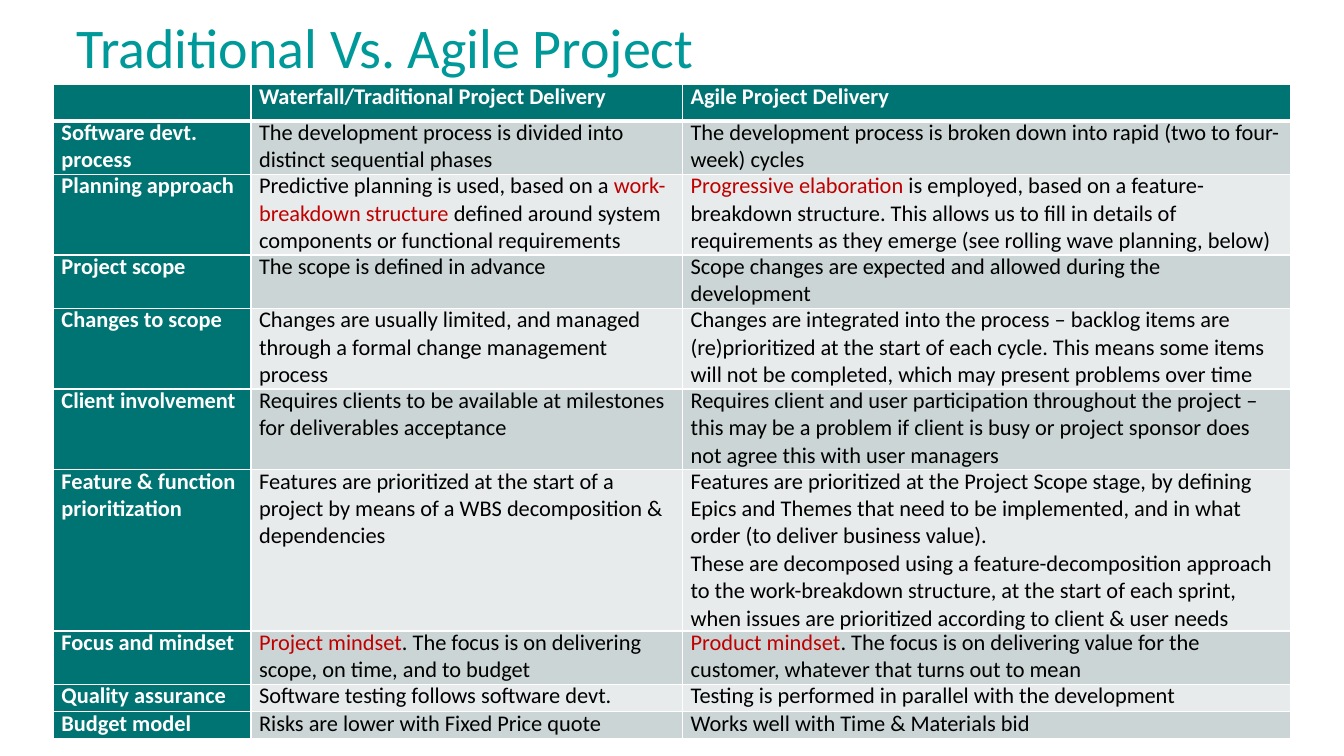
from dataclasses import dataclass

from lxml.etree import SubElement
from pptx import Presentation
from pptx.dml.color import RGBColor
from pptx.oxml.ns import qn
from pptx.util import Inches, Pt


@dataclass(frozen=True)
class Theme:
    font: str = "Calibri"
    title_size: float = 40
    cell_size: float = 16
    first_line: float = 18.2
    title: str = "009999"
    header: str = "007373"
    bands: tuple = ("CBD5D5", "E7EBEB")
    white: str = "FFFFFF"
    ink: str = "000000"
    accent: str = "C00000"


# Asterisks enclose the accented words; each line is a paragraph
HEADINGS = ("", "Waterfall/Traditional Project Delivery", "Agile Project Delivery")
COMPARISON = [
    ("Software devt.\nprocess",
     "The development process is divided into\ndistinct sequential phases",
     "The development process is broken down into rapid (two to four-\nweek) cycles"),
    ("Planning approach",
     "Predictive planning is used, based on a *work-*\n"
     "*breakdown structure* defined around system components or functional requirements",
     "*Progressive elaboration* is employed, based on a feature-\n"
     "breakdown structure. This allows us to fill in details of "
     "requirements as they emerge (see rolling wave planning, below)"),
    ("Project scope",
     "The scope is defined in advance",
     "Scope changes are expected and allowed during the\ndevelopment"),
    ("Changes to scope",
     "Changes are usually limited, and managed\n"
     "through a formal change management\nprocess",
     "Changes are integrated into the process – backlog items are\n"
     "(re)prioritized at the start of each cycle. This means some items "
     "will not be completed, which may present problems over time"),
    ("Client involvement",
     "Requires clients to be available at milestones\nfor deliverables acceptance",
     "Requires client and user participation throughout the project –\n"
     "this may be a problem if client is busy or project sponsor does "
     "not agree this with user managers"),
    ("Feature & function\nprioritization",
     "Features are prioritized at the start of a\n"
     "project by means of a WBS decomposition & dependencies",
     "Features are prioritized at the Project Scope stage, by defining\n"
     "Epics and Themes that need to be implemented, and in what "
     "order (to deliver business value).\n"
     "These are decomposed using a feature-decomposition approach "
     "to the work-breakdown structure, at the start of each sprint, "
     "when issues are prioritized according to client & user needs"),
    ("Focus and mindset",
     "*Project mindset*. The focus is on delivering\nscope, on time, and to budget",
     "*Product mindset*. The focus is on delivering value for the\n"
     "customer, whatever that turns out to mean"),
    ("Quality assurance",
     "Software testing follows software devt.",
     "Testing is performed in parallel with the development"),
    ("Budget model",
     "Risks are lower with Fixed Price quote",
     "Works well with Time & Materials bid"),
]
COLUMN_WIDTHS = (1.96, 4.28, 6.03)
ROW_HEIGHTS = (0.36, 0.53, 0.8, 0.53, 0.8, 0.8, 1.6, 0.53, 0.27, 0.27)


class SlideBuilder:
    def __init__(self, slide, theme):
        self.slide = slide
        self.theme = theme

    def style(self, paragraph, size, color, bold=False):
        font = paragraph.font
        font.name, font.size, font.bold = self.theme.font, Pt(size), bold
        font.color.rgb = RGBColor.from_string(color)

    def title(self, text, left, top, width, height):
        frame = self.slide.shapes.add_textbox(
            Inches(left), Inches(top), Inches(width), Inches(height)).text_frame
        frame.word_wrap = True
        frame.margin_left = frame.margin_right = frame.margin_bottom = 0
        frame.margin_top = Inches(0.01)
        frame.text = text
        self.style(frame.paragraphs[0], self.theme.title_size, self.theme.title)

    def borders(self, cell, top, bottom):
        properties = cell._tc.get_or_add_tcPr()
        for side, points in (("L", 1), ("R", 1), ("T", top), ("B", bottom)):
            line = SubElement(properties, qn(f"a:ln{side}"), w=str(Pt(points)))
            fill = SubElement(line, qn("a:solidFill"))
            SubElement(fill, qn("a:srgbClr"), val=self.theme.white)

    def cell_text(self, cell, text, color, bold):
        for number, line in enumerate(text.split("\n")):
            frame = cell.text_frame
            paragraph = frame.add_paragraph() if number else frame.paragraphs[0]
            self.style(paragraph, self.theme.cell_size, color, bold)
            if number == 0:
                paragraph.line_spacing = Pt(self.theme.first_line)
            for part, words in enumerate(line.split("*")):
                if words:
                    run = paragraph.add_run()
                    run.text = words
                    if part % 2:
                        run.font.color.rgb = RGBColor.from_string(self.theme.accent)

    def table(self, rows, left, top, widths, heights):
        table = self.slide.shapes.add_table(
            len(rows), len(widths), Inches(left), Inches(top),
            Inches(sum(widths)), Inches(sum(heights))).table
        for column, width in zip(table.columns, widths):
            column.width = Inches(width)
        for r, (texts, height) in enumerate(zip(rows, heights)):
            table.rows[r].height = Inches(height)
            for c, text in enumerate(texts):
                cell = table.cell(r, c)
                heading = r == 0 or c == 0
                cell.margin_top = cell.margin_bottom = 0
                cell.margin_left = Inches(0.08)
                # Tall rows wrap a little earlier
                cell.margin_right = Inches(0.14 if height >= 0.8 and c else 0)
                self.borders(cell, 3 if r == 1 else 1, 3 if r == 0 else 1)
                cell.fill.solid()
                cell.fill.fore_color.rgb = RGBColor.from_string(
                    self.theme.header if heading else self.theme.bands[(r - 1) % 2])
                self.cell_text(cell, text,
                               self.theme.white if heading else self.theme.ink, heading)


def main():
    presentation = Presentation()
    presentation.slide_width = Inches(13.33)
    presentation.slide_height = Inches(7.5)
    builder = SlideBuilder(
        presentation.slides.add_slide(presentation.slide_layouts[6]), Theme())

    # Heading
    builder.title("Traditional Vs. Agile Project", 0.76, 0.11, 8.28, 0.7)

    # Comparison of the two delivery styles
    builder.table([HEADINGS, *COMPARISON], 0.53, 0.84, COLUMN_WIDTHS, ROW_HEIGHTS)

    presentation.save("out.pptx")


if __name__ == "__main__":
    main()
